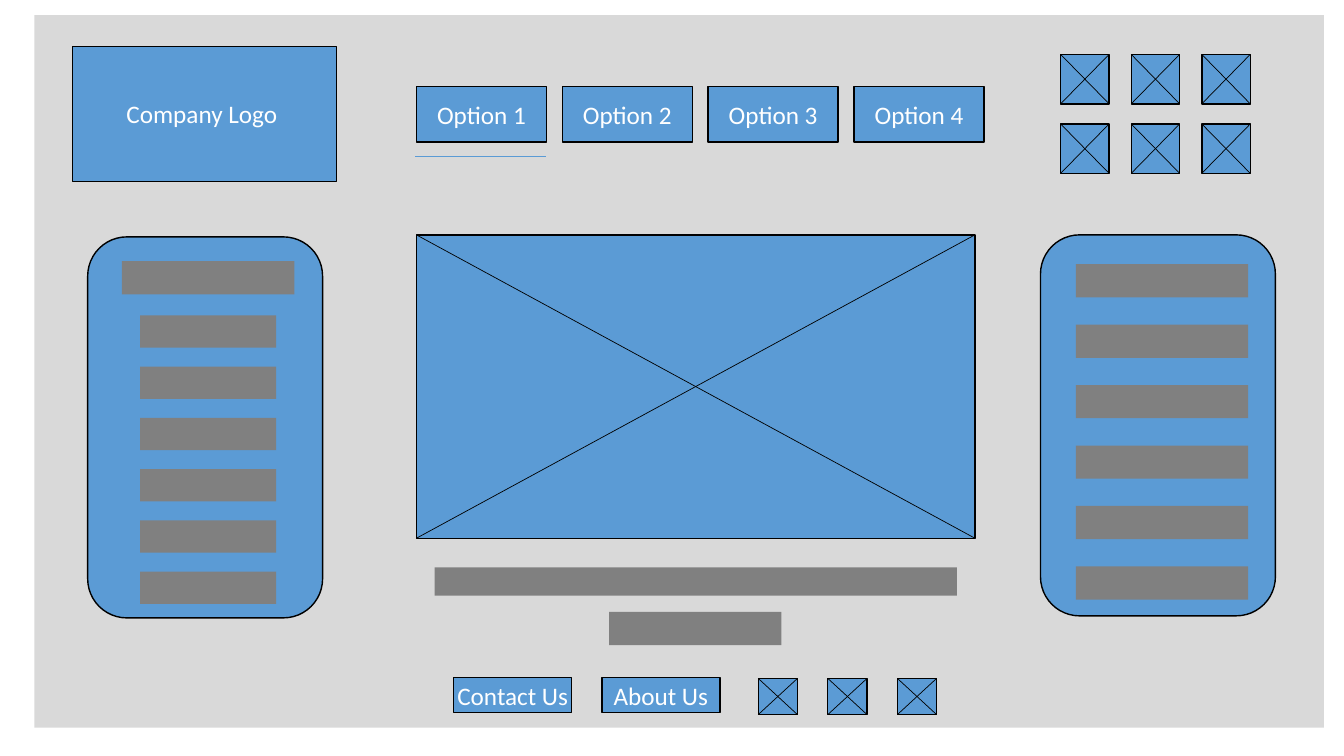
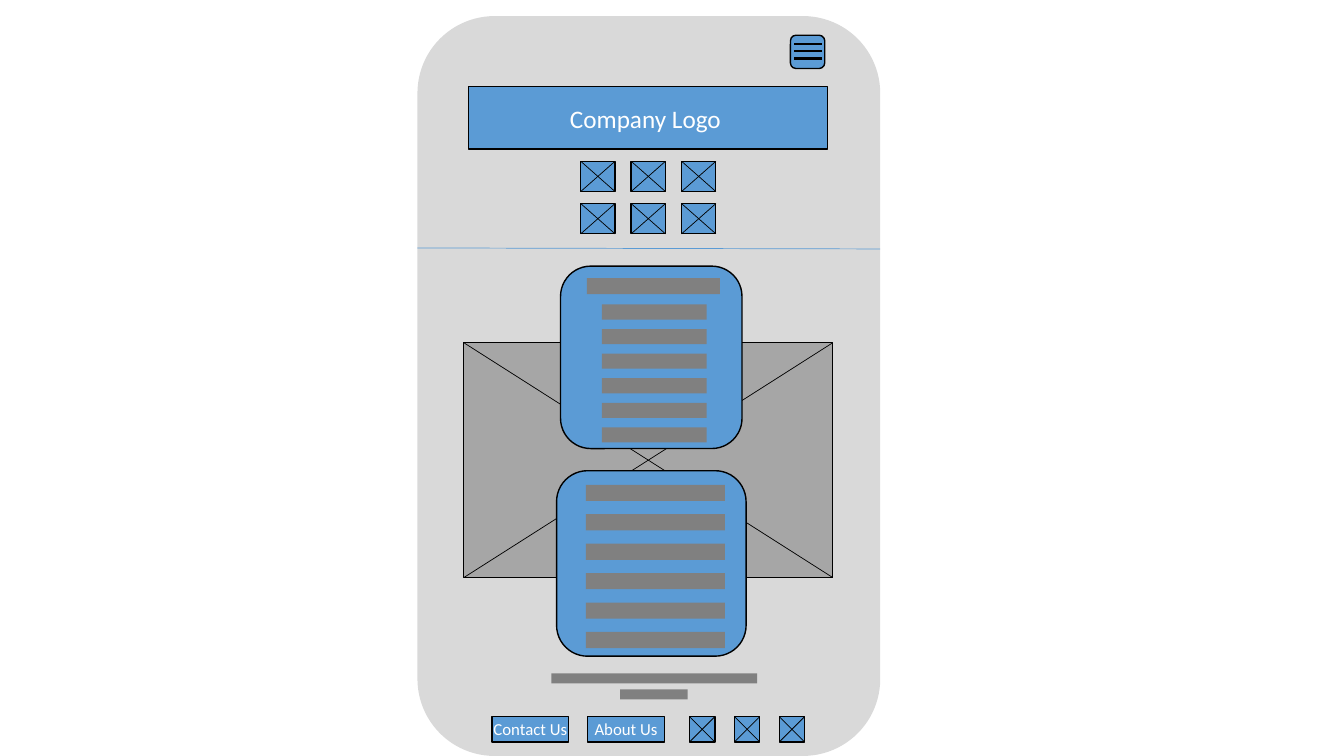
from lxml import etree
from pptx import Presentation
from pptx.dml.color import RGBColor
from pptx.enum.shapes import MSO_CONNECTOR as LINK, MSO_SHAPE as KIND
from pptx.enum.text import MSO_ANCHOR, PP_ALIGN
from pptx.oxml.ns import qn
from pptx.util import Inches, Pt

INK = {"page": "D9D9D9", "blue": "5B9BD5", "bar": "808080",
       "photo": "A6A6A6", "black": "000000", "white": "FFFFFF"}
FONT = "Calibri"
LOGO = "Company Logo "
LINKS = ["Contact Us", "About Us"]

# Boxes are (left, top, width, height). Rows and stacks give the first box,
# then the left or top of the last one, and the count.
DESKTOP = {
    "page": (KIND.RECTANGLE, (0.34, 0.15, 12.79, 7.07)),
    "logo": (0.72, 0.46, 2.62, 1.34),
    "icons": [((10.52, top, 0.48, 0.49), 11.92, 3) for top in (0.54, 1.23)]
             + [((7.52, 6.73, 0.39, 0.36), 8.9, 3)],
    "tabs": (["Option 1", "Option 2", "Option 3", "Option 4"],
             (4.13, 0.86, 1.29, 0.55), 8.47),
    "photo": ("blue", (4.13, 2.33, 5.54, 3.01)),
    "panels": [(0.87, 2.35, 2.33, 3.78), (10.32, 2.33, 2.33, 3.78)],
    "stacks": [((1.39, 3.13, 1.35, 0.32), 5.67, 6),
               ((10.67, 2.62, 1.71, 0.33), 5.62, 6)],
    "bars": [(1.21, 2.59, 1.71, 0.33), (4.31, 5.63, 5.18, 0.28),
             (6.04, 6.07, 1.71, 0.33)],
    "links": ((4.5, 6.72, 1.17, 0.35), 5.97, 18),
    "rule": (4.12, 1.55, 5.42, 1.55),
}
PHONE = {
    "page": (KIND.ROUNDED_RECTANGLE, (4.14, 0.16, 4.59, 7.34)),
    "logo": (4.65, 0.86, 3.56, 0.62),
    "icons": [((5.76, top, 0.34, 0.3), 6.76, 3) for top in (1.6, 2.02)]
             + [((6.84, 7.11, 0.25, 0.25), 7.73, 3)],
    "photo": ("photo", (4.6, 3.4, 3.66, 2.33)),
    "panels": [(5.56, 2.64, 1.8, 1.81), (5.52, 4.67, 1.88, 1.84)],
    "stacks": [((5.97, 3.02, 1.04, 0.15), 4.24, 6),
               ((5.81, 4.81, 1.38, 0.16), 6.27, 6)],
    "bars": [(5.82, 2.76, 1.32, 0.16), (5.47, 6.68, 2.04, 0.1),
             (6.15, 6.84, 0.67, 0.1)],
    "links": ((4.88, 7.11, 0.76, 0.25), 5.83, 12),
    "rule": (4.14, 2.46, 8.73, 2.47),
    "menu": ((7.84, 0.35, 0.34, 0.33), (7.88, 8.15), (0.44, 0.51, 0.58)),
}


def color(name):
    return RGBColor.from_string(INK[name])


def spread(first, last, count):
    """Evenly spaced positions from first to last."""
    return [first + (last - first) * i / (count - 1) for i in range(count)]


def row(box, last, count):
    return [(left, *box[1:]) for left in spread(box[0], last, count)]


def stack(box, last, count):
    return [(box[0], top, *box[2:]) for top in spread(box[1], last, count)]


def block(slide, box, fill="blue", edge=True, kind=KIND.RECTANGLE):
    shape = slide.shapes.add_shape(kind, *map(Inches, box))
    shape.shadow.inherit = False
    shape.fill.solid()
    shape.fill.fore_color.rgb = color(fill)
    if edge:
        shape.line.color.rgb = color("black")
        shape.line.width = Pt(1)
    else:
        shape.line.fill.background()
    return shape


def label(slide, box, text, size=18):
    frame = block(slide, box).text_frame
    frame.margin_left = frame.margin_right = 0
    frame.margin_top = frame.margin_bottom = 0
    frame.vertical_anchor = MSO_ANCHOR.MIDDLE
    frame.word_wrap = False
    para = frame.paragraphs[0]
    para.text = text
    para.alignment = PP_ALIGN.CENTER
    para.font.name = FONT
    para.font.size = Pt(size)
    para.font.color.rgb = color("white")


def line(slide, ends, ink="black", width=0.5):
    link = slide.shapes.add_connector(LINK.STRAIGHT, *map(Inches, ends))
    link.line.color.rgb = color(ink)
    link.line.width = Pt(width)
    etree.SubElement(link._element.spPr, qn("a:effectLst"))


def crossed(slide, box, fill="blue"):
    """An image placeholder: a box with both diagonals."""
    block(slide, box, fill)
    left, top, wide, high = box
    line(slide, (left, top, left + wide, top + high))
    line(slide, (left, top + high, left + wide, top))


def menu(slide, box, ends, tops):
    block(slide, box, kind=KIND.ROUNDED_RECTANGLE)
    for top in tops:
        line(slide, (ends[0], top, ends[1], top), width=1.5)


def draw(slide, plan):
    kind, area = plan["page"]
    block(slide, area, "page", edge=False, kind=kind)
    label(slide, plan["logo"], LOGO)
    for group in plan["icons"]:
        for box in row(*group):
            crossed(slide, box)
    if "tabs" in plan:
        names, first, last = plan["tabs"]
        for name, box in zip(names, row(first, last, len(names))):
            label(slide, box, name)
    fill, box = plan["photo"]
    crossed(slide, box, fill)
    for box in plan["panels"]:
        block(slide, box, kind=KIND.ROUNDED_RECTANGLE)
    bars = [box for group in plan["stacks"] for box in stack(*group)]
    for box in plan["bars"] + bars:
        block(slide, box, "bar", edge=False)
    if "menu" in plan:
        menu(slide, *plan["menu"])
    first, last, size = plan["links"]
    for name, box in zip(LINKS, row(first, last, len(LINKS))):
        label(slide, box, name, size)
    line(slide, plan["rule"], "blue")


def main():
    deck = Presentation()
    deck.slide_width, deck.slide_height = Inches(13.33), Inches(7.5)
    blank = deck.slide_layouts[6]
    for plan in (DESKTOP, PHONE):
        draw(deck.slides.add_slide(blank), plan)
    deck.save("out.pptx")


if __name__ == "__main__":
    main()
